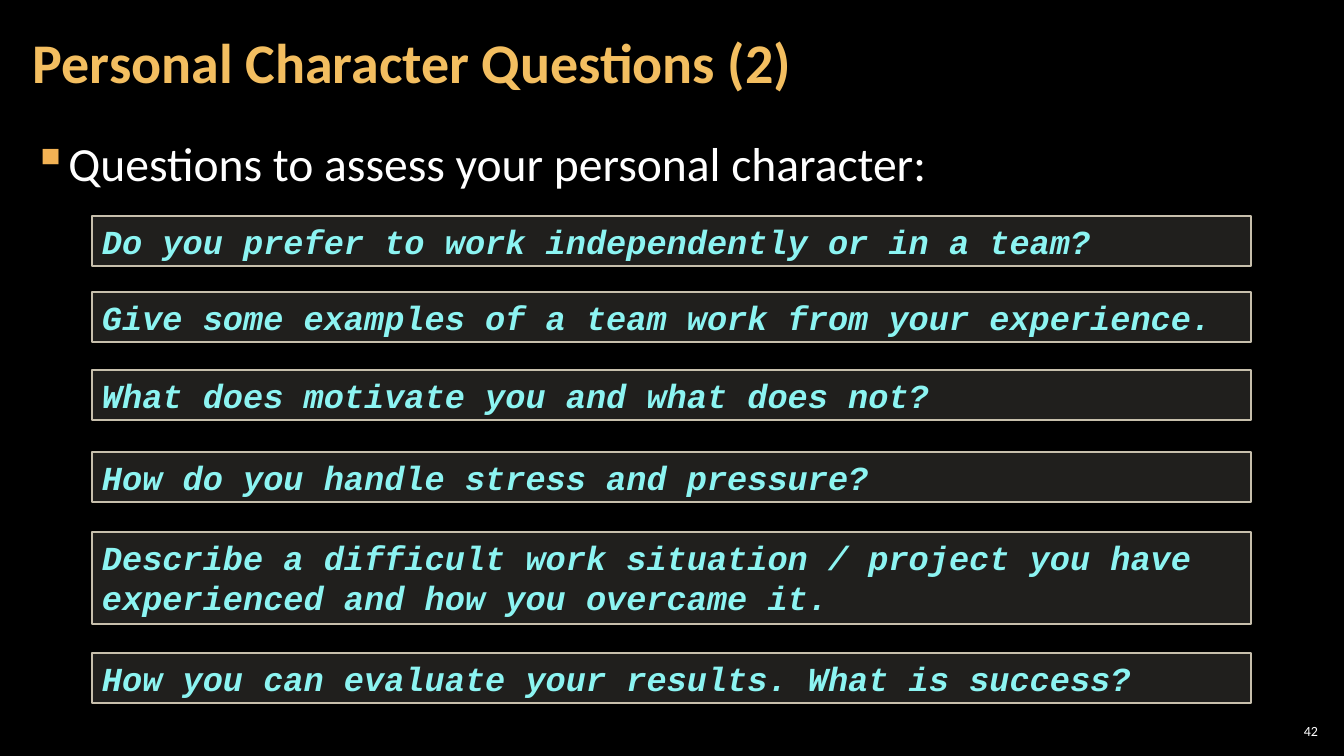
from lxml import etree
from pptx import Presentation
from pptx.dml.color import RGBColor
from pptx.enum.shapes import MSO_SHAPE
from pptx.enum.text import MSO_ANCHOR, MSO_AUTO_SIZE, PP_ALIGN
from pptx.oxml.ns import qn
from pptx.util import Pt

RECT = MSO_SHAPE.RECTANGLE
TOP, MIDDLE = MSO_ANCHOR.TOP, MSO_ANCHOR.MIDDLE
LEFT, RIGHT = PP_ALIGN.LEFT, PP_ALIGN.RIGHT
FIT, FIXED = MSO_AUTO_SIZE.SHAPE_TO_FIT_TEXT, MSO_AUTO_SIZE.NONE
PX = 12192000 / 1344


def px(*sizes):
    return [round(size * PX) for size in sizes]


def write(shape, text, size, color, face="Calibri", bold=False, slant=False,
          side=10, edge=5, anchor=MIDDLE, align=LEFT, fit=FIXED):
    frame = shape.text_frame
    frame.text = text
    frame.word_wrap = True
    frame.auto_size = fit
    frame.vertical_anchor = anchor
    frame.margin_left = frame.margin_right = px(side)[0]
    frame.margin_top = frame.margin_bottom = px(edge)[0]
    para = frame.paragraphs[0]
    para.alignment = align
    font = para.font
    font.name, font.size = face, Pt(size)
    font.bold, font.italic = bold, slant
    font.color.rgb = RGBColor.from_string(color)
    return para


deck = Presentation()
deck.slide_width, deck.slide_height = px(1344, 756)
slide = deck.slides.add_slide(deck.slide_layouts[5])
back = slide.background.fill
back.solid()
back.fore_color.rgb = RGBColor.from_string("000000")

title = slide.shapes.title
title.left, title.top, title.width, title.height = px(21, 4, 1055, 122)
para = write(title, "Personal Character Questions (2)", 40, "F3BE60",
             bold=True, side=12, edge=4)
para.line_spacing = 0.9

body = slide.shapes.add_textbox(*px(21, 127, 1301, 614))
para = write(body, "Questions to assess your personal character:", 34, "FFFFFF",
             side=12, edge=4, anchor=TOP)
props = para._p.get_or_add_pPr()
indent = px(33)[0]
props.set("marL", str(indent))
props.set("indent", str(-indent))
tint = etree.SubElement(props, qn("a:buClr"))
etree.SubElement(tint, qn("a:srgbClr"), val="F2B254")
etree.SubElement(props, qn("a:buChar"), char="▪")
para.line_spacing = 1.05
para.space_after = Pt(6)

asks = [
    (216, 50, "Do you prefer to work independently or in a team?"),
    (292, 50, "Give some examples of a team work from your experience."),
    (370, 50, "What does motivate you and what does not?"),
    (452, 50, "How do you handle stress and pressure?"),
    (532, 92, "Describe a difficult work situation / project you have "
              "experienced and how you overcame it."),
    (653, 50, "How you can evaluate your results. What is success?"),
]
for top, high, text in asks:
    box = slide.shapes.add_shape(RECT, *px(92, top, 1159, high))
    box.shadow.inherit = False
    box.fill.solid()
    box.fill.fore_color.rgb = RGBColor.from_string("D9D5C7")
    shade = box._element.spPr.find(qn("a:solidFill"))[0]
    etree.SubElement(shade, qn("a:alpha"), val="15000")
    box.line.color.rgb = RGBColor.from_string("C7BFAC")
    box.line.width = Pt(1)
    write(box, text, 24, "8CF4F2", "Courier New", True, True,
          anchor=TOP, fit=FIT)

number = slide.shapes.add_textbox(*px(1275, 720, 47, 21))
write(number, "42", 10, "FFFFFF", side=4, edge=4, align=RIGHT)

deck.save("out.pptx")
